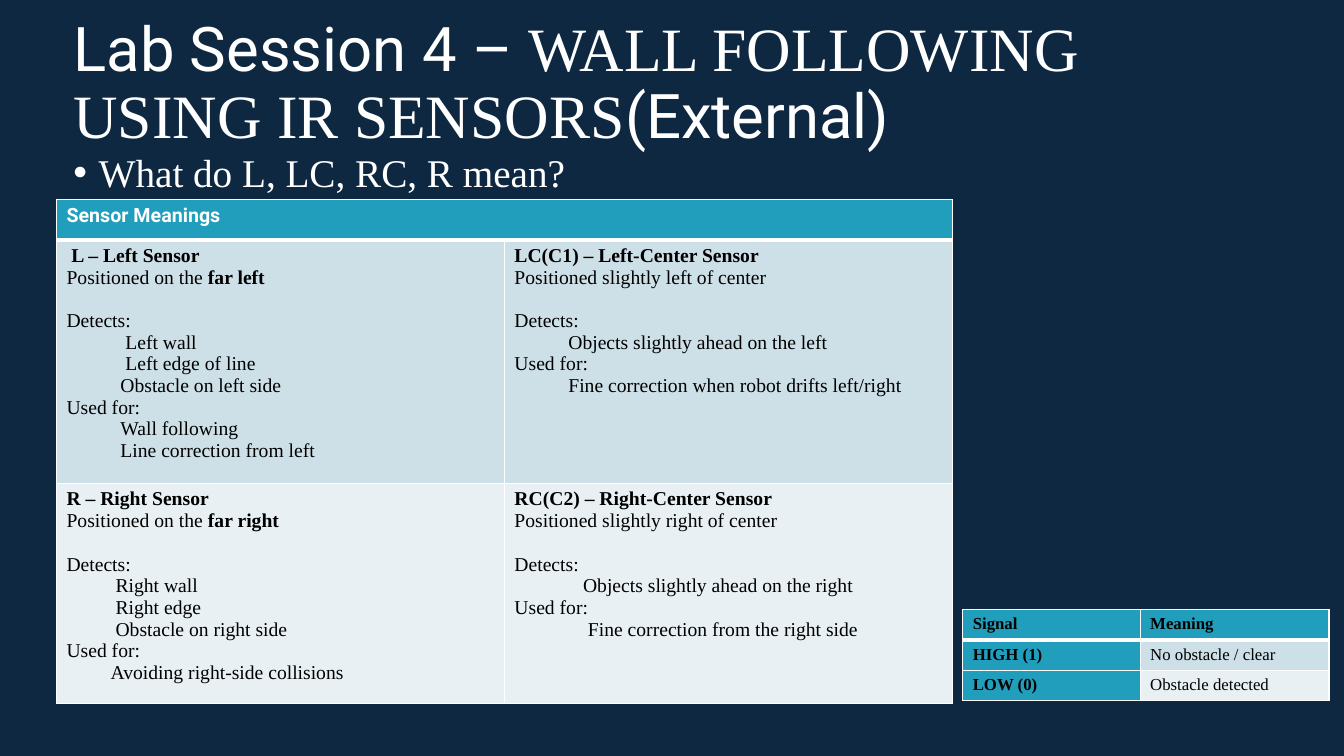
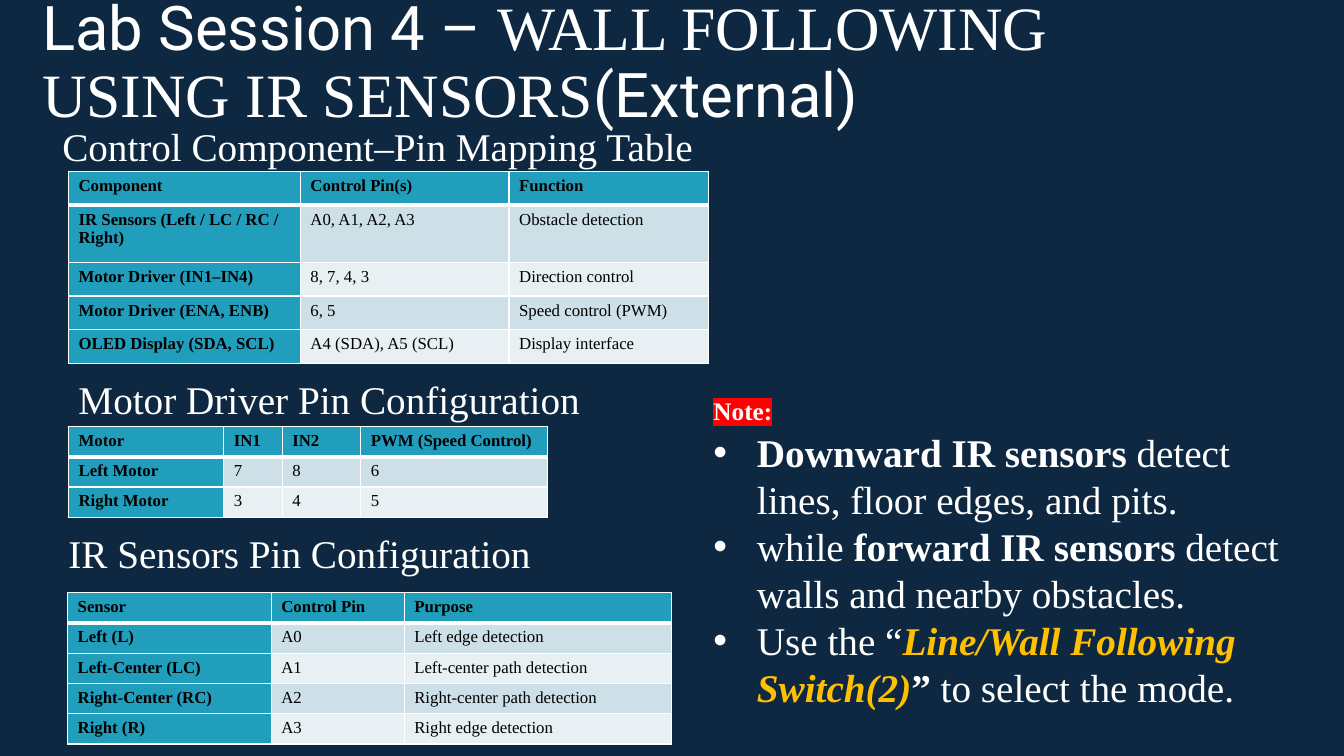
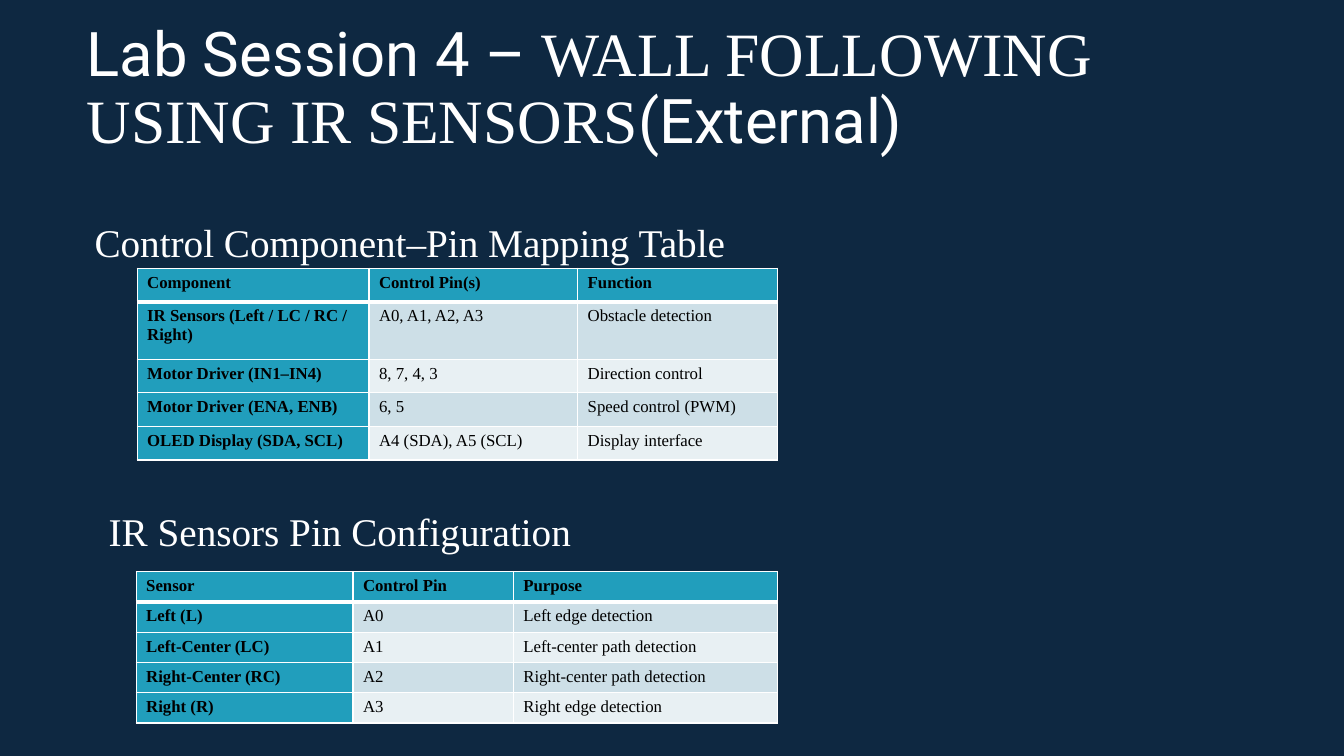
import pptx
import pptx.util
import pptx.dml.color
import pptx.enum.text
import pptx.oxml
import pptx.oxml.ns
import lxml.etree

RGBColor = pptx.dml.color.RGBColor
Pt = pptx.util.Pt
qn = pptx.oxml.ns.qn

NAVY = RGBColor(0x0E, 0x28, 0x41)
TEAL = RGBColor(0x21, 0x9E, 0xBC)
BAND_DARK = RGBColor(0xCD, 0xDF, 0xE7)
BAND_LIGHT = RGBColor(0xE8, 0xF0, 0xF3)
WHITE = RGBColor(0xFF, 0xFF, 0xFF)
BLACK = RGBColor(0x00, 0x00, 0x00)
GOLD = RGBColor(0xFF, 0xC0, 0x00)
RED = RGBColor(0xFF, 0x00, 0x00)
SANS, SERIF = "Roboto", "Times New Roman"

prs = pptx.Presentation()
prs.slide_width = pptx.util.Inches(13.33)
prs.slide_height = pptx.util.Inches(7.5)
# All positions count in hundredths of the slide's width and height
COL = prs.slide_width / 100
ROW = prs.slide_height / 100
prs.slide_master.background.fill.solid()
prs.slide_master.background.fill.fore_color.rgb = NAVY


def add_text(p, runs, size, color, indent=0, bullet=False):
    """Fill a paragraph; runs is a list of (text, style) or a string with **bold** parts."""
    if isinstance(runs, str):
        parts = enumerate(runs.split("**"))
        runs = [(text, {"bold": i % 2 == 1}) for i, text in parts if text]
    pPr = p._p.get_or_add_pPr()
    pPr.set("marL", str(Pt(indent)))
    pPr.set("indent", str(-Pt(indent) if bullet else 0))
    if bullet:
        lxml.etree.SubElement(pPr, qn("a:buFont")).set("typeface", "Arial")
        lxml.etree.SubElement(pPr, qn("a:buChar")).set("char", "•")
    for text, style in runs:
        r = p.add_run()
        r.text = text
        r.font.size = Pt(style.get("size", size))
        r.font.bold = style.get("bold", False)
        r.font.italic = style.get("italic", False)
        r.font.name = style.get("font", SERIF)
        r.font.color.rgb = style.get("color", color)
        if "highlight" in style:
            mark = pptx.oxml.parse_xml(
                f'<a:highlight {pptx.oxml.ns.nsdecls("a")}>'
                f'<a:srgbClr val="{style["highlight"]}"/></a:highlight>')
            r._r.rPr.find(qn("a:solidFill")).addnext(mark)


def add_table(s, x, y, widths, heights, rows, size=12, key_column=True, header=None):
    """Draw a banded table; a short row is merged across, a cell may list (indent, gap, text)."""
    frame = s.shapes.add_table(len(heights), len(widths), round(x * COL), round(y * ROW),
                               round(sum(widths) * COL), round(sum(heights) * ROW))
    table = frame.table
    for c, width in enumerate(widths):
        table.columns[c].width = round(width * COL)
    for i, height in enumerate(heights):
        table.rows[i].height = round(height * ROW)
        for c in range(len(widths)):
            cell = table.cell(i, c)
            accent = i == 0 or (key_column and c == 0)
            cell.fill.solid()
            cell.fill.fore_color.rgb = TEAL if accent else (BAND_DARK if i % 2 else BAND_LIGHT)
            thick = {"lnT": i == 1, "lnB": i == 0}
            for n, side in enumerate(("lnL", "lnR", "lnT", "lnB")):
                line = pptx.oxml.parse_xml(
                    f'<a:{side} {pptx.oxml.ns.nsdecls("a")} w="{Pt(3 if thick.get(side) else 1)}">'
                    f'<a:solidFill><a:srgbClr val="{WHITE}"/></a:solidFill></a:{side}>')
                cell._tc.get_or_add_tcPr().insert(n, line)
            if c >= len(rows[i]):
                continue
            content = rows[i][c]
            if isinstance(content, str):
                style = {"bold": accent, **(header or {} if i == 0 else {})}
                add_text(cell.text_frame.paragraphs[0], [(content, style)], size, BLACK)
                continue
            for n, (indent, gap, text) in enumerate(content):
                p = cell.text_frame.add_paragraph() if n else cell.text_frame.paragraphs[0]
                add_text(p, text, size, BLACK, indent)
                p.space_before = Pt(gap)
        if len(rows[i]) < len(widths):
            table.cell(i, 0).merge(table.cell(i, len(widths) - 1))


TITLE = [("Lab Session 4 – ", {"font": SANS}),
         ("WALL FOLLOWING USING IR SENSORS", {}),
         ("(External)", {"font": SANS})]
GAP = 15.5

sensor_rows = [
    ["Sensor Meanings"],
    [[(3.5, 0, "**L – Left Sensor**"),
      (0, 0, "Positioned on the **far left**"),
      (0, GAP, "Detects:"),
      (42, 0, "Left wall"),
      (42, 0, "Left edge of line"),
      (38.5, 0, "Obstacle on left side"),
      (0, 0, "Used for:"),
      (38.5, 0, "Wall following"),
      (38.5, 0, "Line correction from left")],
     [(0, 0, "**LC(C1) – Left-Center Sensor**"),
      (0, 0, "Positioned slightly left of center"),
      (0, GAP, "Detects:"),
      (38.5, 0, "Objects slightly ahead on the left"),
      (0, 0, "Used for:"),
      (38.5, 0, "Fine correction when robot drifts left/right")]],
    [[(0, 0, "**R – Right Sensor**"),
      (0, 0, "Positioned on the **far right**"),
      (0, GAP, "Detects:"),
      (35, 0, "Right wall"),
      (35, 0, "Right edge"),
      (35, 0, "Obstacle on right side"),
      (0, 0, "Used for:"),
      (31.5, 0, "Avoiding right-side collisions")],
     [(0, 0, "**RC(C2) – Right-Center Sensor**"),
      (0, 0, "Positioned slightly right of center"),
      (0, GAP, "Detects:"),
      (49, 0, "Objects slightly ahead on the right"),
      (0, 0, "Used for:"),
      (52.5, 0, "Fine correction from the right side")]],
]
signal_rows = [
    ["Signal", "Meaning"],
    ["HIGH (1)", "No obstacle / clear"],
    ["LOW (0)", "Obstacle detected"],
]
component_rows = [
    ["Component", "Control Pin(s)", "Function"],
    ["IR Sensors (Left / LC / RC / Right)", "A0, A1, A2, A3", "Obstacle detection"],
    ["Motor Driver (IN1–IN4)", "8, 7, 4, 3", "Direction control"],
    ["Motor Driver (ENA, ENB)", "6, 5", "Speed control (PWM)"],
    ["OLED Display (SDA, SCL)", "A4 (SDA), A5 (SCL)", "Display interface"],
]
motor_rows = [
    ["Motor", "IN1", "IN2", "PWM (Speed Control)"],
    ["Left Motor", "7", "8", "6"],
    ["Right Motor", "3", "4", "5"],
]
ir_rows = [
    ["Sensor", "Control Pin", "Purpose"],
    ["Left (L)", "A0", "Left edge detection"],
    ["Left-Center (LC)", "A1", "Left-center path detection"],
    ["Right-Center (RC)", "A2", "Right-center path detection"],
    ["Right (R)", "A3", "Right edge detection"],
]
component_widths = [17.25, 15.53, 14.85]
component_heights = [4.45, 7.6, 4.45, 4.45, 4.45]
MAPPING = "Control Component–Pin Mapping Table"
IR_PINS = "IR Sensors Pin Configuration"

# Title corner, then headings as (x, y, text, bullet indent)
slides = [
    ((4.73, 1.6), [(4.73, 18.93, "What do L, LC, RC, R mean?", 18)]),
    ((2.4, -1.2), [(3.9, 15.47, MAPPING, 0),
                   (5.1, 48.93, "Motor Driver Pin Configuration", 0),
                   (4.35, 69.33, IR_PINS, 0)]),
    ((5.7, 2.27), [(6.3, 28.27, MAPPING, 0), (7.35, 66.4, IR_PINS, 0)]),
]
for (x, y), headings in slides:
    s = prs.slides.add_slide(prs.slide_layouts[6])
    tf = s.shapes.add_textbox(round(x * COL), round(y * ROW),
                              round(86.25 * COL), round(19.33 * ROW)).text_frame
    tf.word_wrap = True
    tf.vertical_anchor = pptx.enum.text.MSO_ANCHOR.MIDDLE
    add_text(tf.paragraphs[0], TITLE, 44, WHITE)
    tf.paragraphs[0].line_spacing = 0.9
    for x, y, text, indent in headings:
        tf = s.shapes.add_textbox(round(x * COL), round(y * ROW),
                                  round(55 * COL), round(7.6 * ROW)).text_frame
        tf.word_wrap = True
        add_text(tf.paragraphs[0], text, 28, WHITE, indent, bullet=indent > 0)

meanings, pins, summary = prs.slides

# Sensor meanings
add_table(meanings, 4.2, 26.4, [33.33] * 2, [5.33, 30, 27.07], sensor_rows, size=14,
          key_column=False, header={"font": SANS, "color": WHITE})
add_table(meanings, 71.63, 80.67, [13.2, 14.05], [4] * 3, signal_rows)

# Pin tables
add_table(pins, 5.1, 22.67, component_widths, component_heights, component_rows)
add_table(pins, 5.03, 78.4, [15.15, 9.9, 19.88], [4] * 5, ir_rows)
add_table(pins, 5.1, 56.4, [11.55, 4.35, 5.85, 13.88], [4] * 3, motor_rows)
add_table(summary, 10.2, 35.47, component_widths, component_heights, component_rows)
add_table(summary, 10.13, 75.6, [16.13, 11.93, 19.65], [4] * 5, ir_rows)

# Note beside the pin tables
tf = pins.shapes.add_textbox(round(52.35 * COL), round(51.6 * ROW),
                             round(43.73 * COL), round(40.93 * ROW)).text_frame
tf.word_wrap = True
p = tf.paragraphs[0]
add_text(p, [("Note:", {"size": 18, "bold": True, "highlight": RED})], 28, WHITE)
p.space_after = Pt(2)
for runs in (
    "**Downward IR sensors** detect lines, floor edges, and pits.",
    "while **forward IR sensors** detect walls and nearby obstacles.",
    [("Use the “", {}),
     ("Line/Wall Following Switch(2)", {"color": GOLD, "bold": True, "italic": True}),
     ("”", {"bold": True}),
     (" to select the mode.", {})],
):
    add_text(tf.add_paragraph(), runs, 28, WHITE, indent=31, bullet=True)

prs.save("out.pptx")
